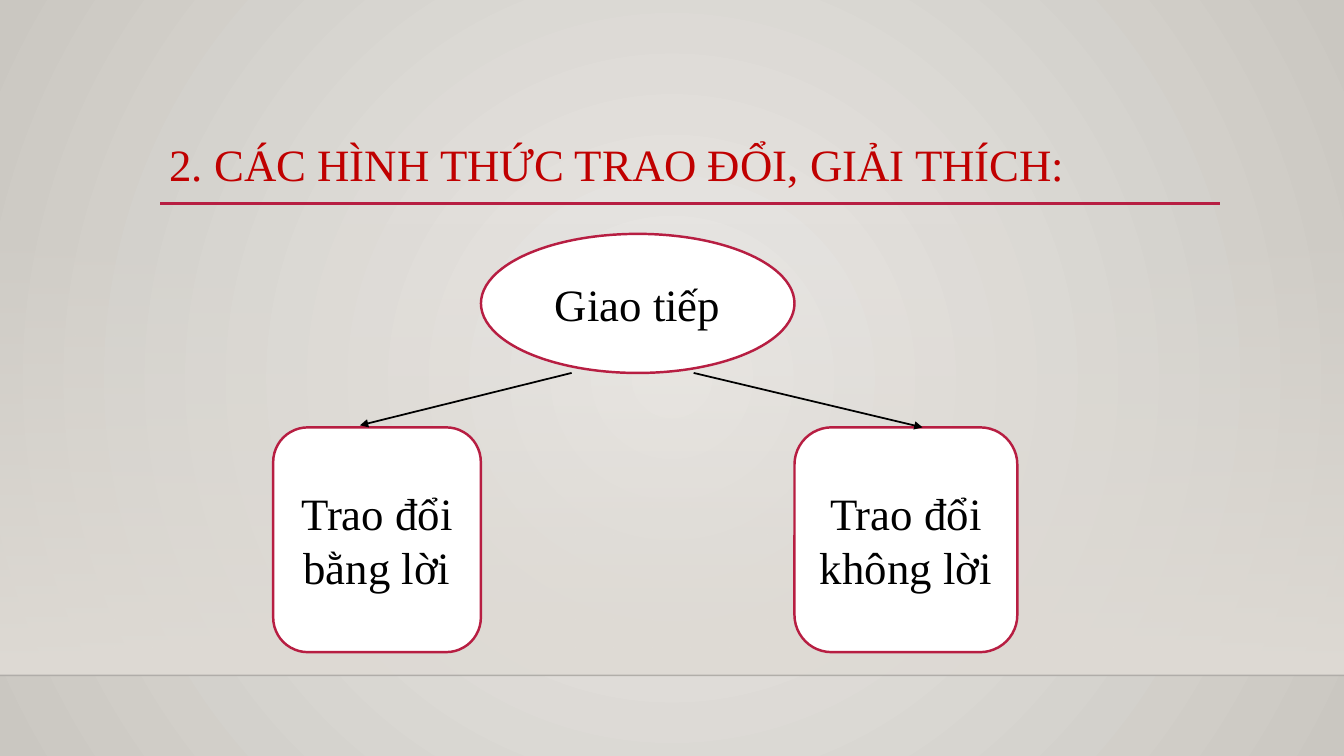
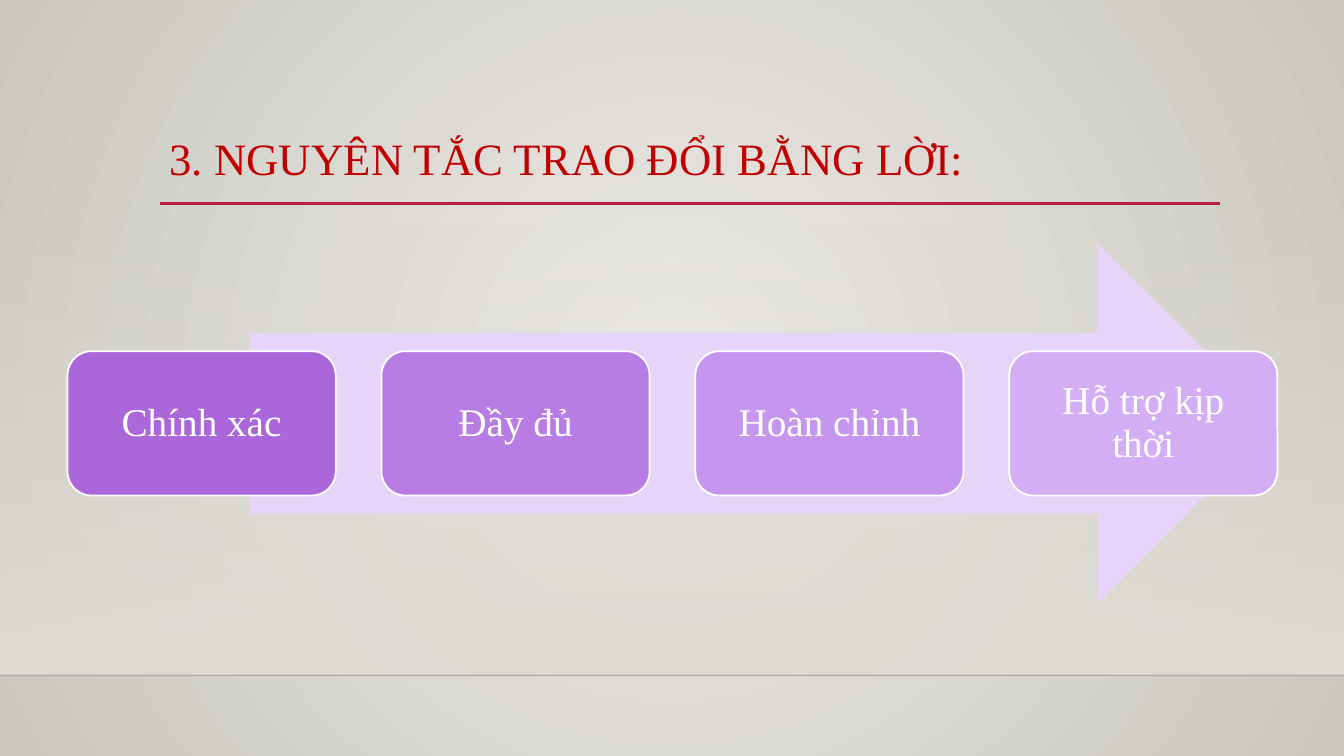
from dataclasses import dataclass

from lxml import etree
from pptx import Presentation
from pptx.dml.color import RGBColor
from pptx.enum.shapes import MSO_CONNECTOR, MSO_SHAPE
from pptx.enum.text import MSO_ANCHOR, MSO_AUTO_SIZE, PP_ALIGN
from pptx.oxml.ns import qn
from pptx.util import Inches, Pt

STRAIGHT = MSO_CONNECTOR.STRAIGHT
RECTANGLE = MSO_SHAPE.RECTANGLE
ROUNDED = MSO_SHAPE.ROUNDED_RECTANGLE
ELLIPSE = MSO_SHAPE.OVAL
RIGHT_ARROW = MSO_SHAPE.RIGHT_ARROW
TOP = MSO_ANCHOR.TOP
MIDDLE = MSO_ANCHOR.MIDDLE
LEFT = PP_ALIGN.LEFT
CENTER = PP_ALIGN.CENTER
NO_AUTOFIT = MSO_AUTO_SIZE.NONE
TITLE_ONLY = 5


@dataclass(frozen=True)
class Theme:
    """Colours, font and type sizes of the presentation."""

    font: str = "Times New Roman"
    large: int = 32
    medium: int = 28
    title: str = "C00000"
    accent: str = "B71E42"
    black: str = "000000"
    white: str = "FFFFFF"
    floor_line: str = "000001"
    band: str = "DFDBD5"
    background: tuple = ("ECEAE7", "CAC7C1")
    arrow: str = "E7D5F9"
    cards: tuple = ("AB67DA", "B87DE5", "C695EE", "D4AEF5")


THEME = Theme()
WIDTH, HEIGHT = 13.33, 7.5
FLOOR = 6.7


def color(value):
    """Turn a hexadecimal string into a colour."""
    return RGBColor.from_string(value)


def set_alpha(element, percent):
    """Set the opacity of the first colour found in an element."""
    rgb = next(element.iter(qn("a:srgbClr")))
    etree.SubElement(rgb, qn("a:alpha"), val=str(percent * 1000))


def set_gradient(fill, colors, angle=0):
    """Give a fill a linear gradient of two colours."""
    fill.gradient()
    fill.gradient_angle = angle
    for stop, value in zip(fill.gradient_stops, colors):
        stop.color.rgb = color(value)


def set_background(master):
    """Give the master a gradient that radiates from its centre."""
    set_gradient(master.background.fill, THEME.background)
    linear = next(master.element.iter(qn("a:lin")))
    gradient = linear.getparent()
    circle = etree.Element(qn("a:path"), path="circle")
    sides = dict.fromkeys("ltrb", "50000")
    etree.SubElement(circle, qn("a:fillToRect"), **sides)
    gradient.replace(linear, circle)


def write_text(shape, text, *, size, text_color, align=CENTER, anchor=MIDDLE,
               spacing=None, inset=None):
    """Write one formatted paragraph into a shape."""
    frame = shape.text_frame
    frame.word_wrap = True
    frame.auto_size = NO_AUTOFIT
    frame.vertical_anchor = anchor
    if inset is not None:
        frame.margin_left = frame.margin_right = Inches(inset)
        frame.margin_top = frame.margin_bottom = Inches(inset)
    paragraph = frame.paragraphs[0]
    paragraph.alignment = align
    paragraph.line_spacing = spacing
    run = paragraph.add_run()
    run.text = text
    run.font.name = THEME.font
    run.font.size = Pt(size)
    run.font.color.rgb = color(text_color)


def add_box(slide, kind, box, fill=None, line=None, line_width=1):
    """Add a preset shape without a shadow."""
    shape = slide.shapes.add_shape(kind, *map(Inches, box))
    shape.shadow.inherit = False
    if fill:
        shape.fill.solid()
        shape.fill.fore_color.rgb = color(fill)
    if line:
        shape.line.color.rgb = color(line)
        shape.line.width = Pt(line_width)
    else:
        shape.line.fill.background()
    return shape


def add_line(slide, start, end, line_color, width, arrow=False):
    """Add a straight line, with an arrowhead at its end if asked."""
    connector = slide.shapes.add_connector(STRAIGHT, *map(Inches, (*start, *end)))
    connector.line.color.rgb = color(line_color)
    connector.line.width = Pt(width)
    properties = connector.element.spPr
    if arrow:
        etree.SubElement(properties.find(qn("a:ln")), qn("a:tailEnd"), type="triangle")
    etree.SubElement(properties, qn("a:effectLst"))
    return connector


def add_frame(slide):
    """Draw the wall band, the floor line and the rule under the title."""
    band = add_box(slide, RECTANGLE, (0, 2.21, WIDTH, FLOOR - 2.21))
    set_gradient(band.fill, (THEME.band, THEME.band), angle=270)
    set_alpha(band.element.spPr, 0)
    floor = add_line(slide, (0, FLOOR), (WIDTH, FLOOR), THEME.floor_line, 1)
    set_alpha(floor.element.spPr, 20)
    add_line(slide, (1.59, 2.02), (12.1, 2.02), THEME.accent, 2.5)


def add_titled_slide(presentation, text, title_top):
    """Add a slide with the shared frame and a title."""
    slide = presentation.slides.add_slide(presentation.slide_layouts[TITLE_ONLY])
    add_frame(slide)
    title = slide.shapes.title
    title.left, title.top = Inches(1.58), Inches(title_top)
    title.width, title.height = Inches(10.5), Inches(1.16)
    write_text(title, text, size=THEME.large, text_color=THEME.title,
               align=LEFT, anchor=TOP, spacing=0.9)
    return slide


def add_communication_tree(slide, left, top, width, height):
    """Draw a root ellipse that branches into two forms of exchange."""
    left_width, right_width = 2.06, 2.21
    root_height, branch_height = 1.38, 2.23
    root_width = width - left_width - right_width
    branch_top = top + height - branch_height
    right_left = left + width - right_width
    root_bottom = top + root_height
    nodes = (
        (ELLIPSE, "Giao tiếp", (left + left_width, top, root_width, root_height)),
        (ROUNDED, "Trao đổi bằng lời", (left, branch_top, left_width, branch_height)),
        (ROUNDED, "Trao đổi không lời",
         (right_left, branch_top, right_width, branch_height)),
    )
    for kind, text, box in nodes:
        node = add_box(slide, kind, box, THEME.white, THEME.accent, 1.75)
        write_text(node, text, size=THEME.large, text_color=THEME.black)
    for start_x, end_x, end_y in ((2.96, 0.86, branch_top - 0.02),
                                  (4.17, 6.44, branch_top)):
        add_line(slide, (left + start_x, root_bottom), (left + end_x, end_y),
                 THEME.black, 1.25, arrow=True)


def add_principle_arrow(slide, left, top, width, height, principles):
    """Draw a wide arrow with an even row of cards across it."""
    arrow_left = 0.15 * width
    add_box(slide, RIGHT_ARROW, (left + arrow_left, top, width - arrow_left, height),
            THEME.arrow)
    card_width = 2.66
    step = (width - card_width) / (len(principles) - 1)
    for index, (text, fill) in enumerate(zip(principles, THEME.cards)):
        box = (left + index * step, top + 0.3 * height, card_width, 0.4 * height)
        card = add_box(slide, ROUNDED, box, fill, THEME.white, 1.25)
        write_text(card, text, size=THEME.medium, text_color=THEME.white,
                   spacing=0.9, inset=0.12)


def main():
    """Build and save the presentation."""
    presentation = Presentation()
    presentation.slide_width = Inches(WIDTH)
    presentation.slide_height = Inches(HEIGHT)
    set_background(presentation.slide_master)

    forms = add_titled_slide(
        presentation, "2. CÁC HÌNH THỨC TRAO ĐỔI, GIẢI THÍCH:", 1.37)
    add_communication_tree(forms, 2.71, 2.32, 7.38, 4.15)

    rules = add_titled_slide(
        presentation, "3. NGUYÊN TẮC TRAO ĐỔI BẰNG LỜI:", 1.31)
    add_principle_arrow(rules, 0.67, 2.41, 12, 3.58,
                        ("Chính xác", "Đầy đủ", "Hoàn chỉnh", "Hỗ trợ kịp thời"))

    presentation.save("out.pptx")


if __name__ == "__main__":
    main()
